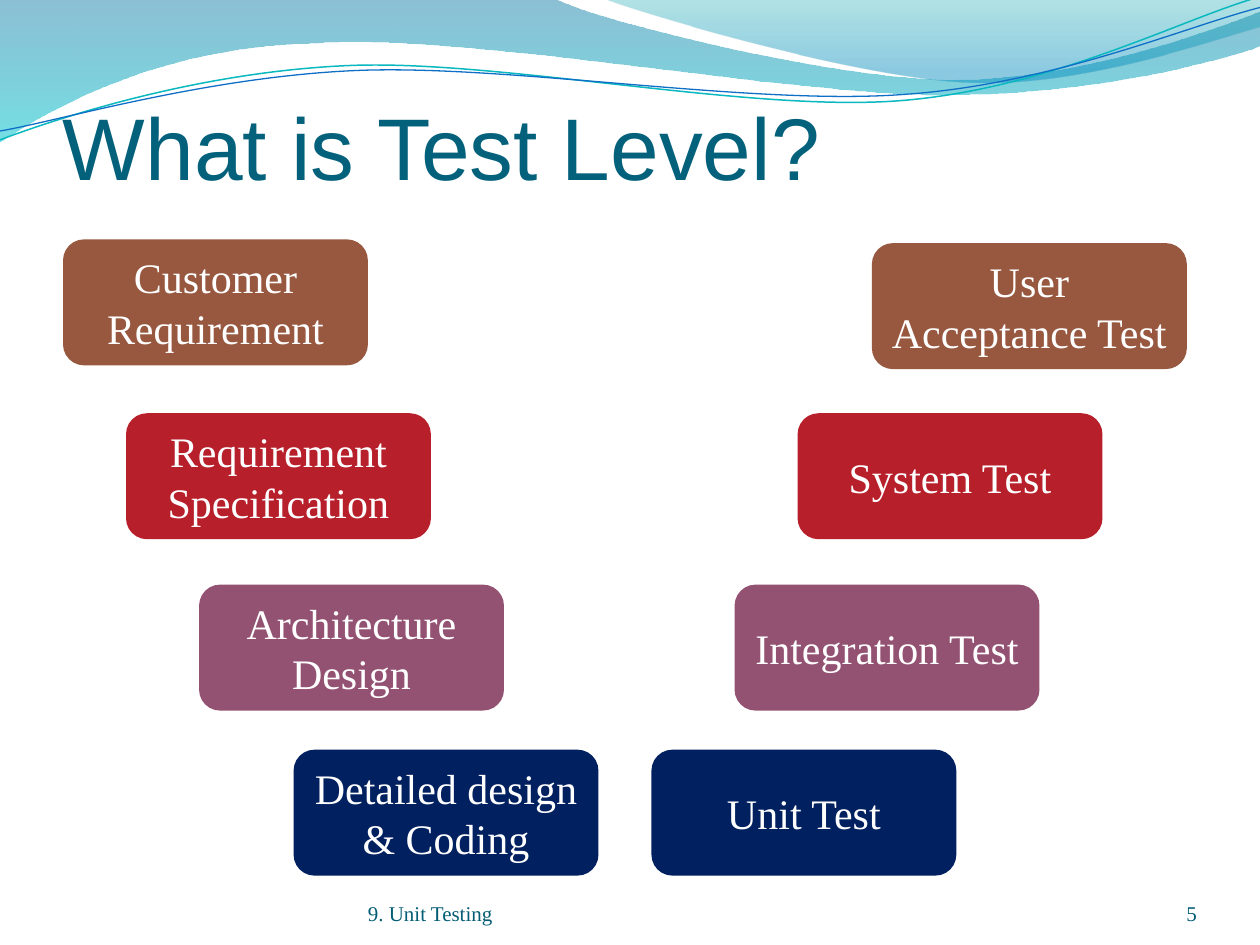
"""Build the slide that pairs each design stage with its test level."""
from math import cos, radians, sin
from lxml.etree import SubElement
from pptx import Presentation
from pptx.dml.color import RGBColor
from pptx.enum.shapes import MSO_SHAPE
from pptx.enum.text import MSO_ANCHOR, PP_ALIGN
from pptx.oxml.ns import qn
from pptx.util import Inches, Pt

HUES = {
    "title": "04617B", "footer": "045D75", "white": "FFFFFF",
    "brown": "97583F", "red": "B71F2A", "plum": "945273", "navy": "002060",
    "blue": "0074A1", "cyan": "00C6CF", "teal": "00A1A9", "sky": "008BBF",
    "aqua": "0AB8BF", "cobalt": "0F6FC6",
}


def write(shape, text, size=24, hue="white", font="Times New Roman",
          align=PP_ALIGN.CENTER, anchor=MSO_ANCHOR.MIDDLE, inset=None):
    frame = shape.text_frame
    frame.word_wrap = True
    frame.vertical_anchor = anchor
    if inset is not None:
        frame.margin_left = frame.margin_right = frame.margin_bottom = Inches(0)
        frame.margin_top = Inches(inset)
    para = frame.paragraphs[0]
    para.alignment = align
    run = para.add_run()
    run.text = text
    run.font.size = Pt(size)
    run.font.name = font
    run.font.color.rgb = RGBColor.from_string(HUES[hue])


def draw(start, parts, close, mid=(0, 0), turn=0):
    dots = [start] + [dot for part in parts for dot in zip(part[::2], part[1::2])]
    c, s = cos(radians(turn)), sin(radians(turn))
    dots = [(Inches(mid[0] + (x - mid[0]) * c - (y - mid[1]) * s),
             Inches(mid[1] + (x - mid[0]) * s + (y - mid[1]) * c)) for x, y in dots]
    pen = slide.shapes.build_freeform(*dots[0])
    pen.add_line_segments(dots[1:], close=close)
    shape = pen.convert_to_shape()
    shape.shadow.inherit = False
    shape.rotation = -turn
    lines = iter(list(shape._element.spPr.iter(qn("a:lnTo"))))
    for part in parts:
        first = next(lines)
        if len(part) == 6:
            curve = first.makeelement(qn("a:cubicBezTo"))
            first.addprevious(curve)
            for line in (first, next(lines), next(lines)):
                curve.append(line[0])
                line.getparent().remove(line)
    return shape


deck = Presentation()
deck.slide_width, deck.slide_height = Inches(10), Inches(7.5)
slide = deck.slides.add_slide(deck.slide_layouts[6])

BANDS = [
    ((0, 0), [(4.4, -0.01), (4.76, 0.17, 6.64, 0.63, 7.58, 0.63),
              (8.53, 0.63, 9.58, 0.26, 10, 0.09), (10.01, 0.36),
              (9.83, 0.44, 8.7, 0.76, 7.46, 0.75),
              (6.22, 0.75, 3.82, 0.28, 2.57, 0.34),
              (1.29, 0.36, 0.46, 0.83, -0.01, 1.13)],
     [(0, "blue", 45), (1, "cyan", 55)]),
    ((4.79, -0.01), [(5.09, 0.11, 6.82, 0.62, 7.69, 0.65),
                     (8.56, 0.69, 9.61, 0.32, 10, 0.21), (10, 0)],
     [(0, "teal", 30), (0.8, "sky", 45)]),
]
for start, parts, stops in BANDS:
    band = draw(start, parts, True)
    band.line.fill.background()
    band.fill.gradient()
    band.fill.gradient_angle = 270
    for stop, (place, hue, _) in zip(band.fill.gradient_stops, stops):
        stop.position = place
        stop.color.rgb = RGBColor.from_string(HUES[hue])
    for node, (_, _, alpha) in zip(band._element.spPr.iter(qn("a:srgbClr")), stops):
        SubElement(node, qn("a:alpha"), val=str(alpha * 1000))

WAVES = [
    ((0, 1.11), [(0.48, 0.93, 1.58, 0.57, 2.77, 0.52),
                 (3.95, 0.47, 5.93, 0.89, 7.13, 0.8),
                 (8.33, 0.71, 9.38, 0.15, 9.98, -0.02)], (4.99, 0.57), "aqua", 0.85),
    ((0, 1.04), [(0.47, 0.96, 1.64, 0.61, 2.83, 0.56),
                 (4.03, 0.51, 5.97, 0.84, 7.17, 0.75),
                 (8.36, 0.67, 9.41, 0.21, 10, 0.06)], (5, 0.59), "cobalt", 0.75),
]
pair = []
for start, parts, mid, hue, width in WAVES:
    wave = draw(start, parts, False, mid, 2.7)
    wave.fill.background()
    wave.line.color.rgb = RGBColor.from_string(HUES[hue])
    wave.line.width = Pt(width)
    pair.append(wave)
slide.shapes.add_group_shape(pair)

LABELS = [
    ("What is Test Level?", (0.5, 0.67, 9, 0.9), PP_ALIGN.LEFT,
     {"size": 50, "hue": "title", "font": "Arial", "inset": 0.05}),
    ("9. Unit Testing", (2.92, 6.95, 3.67, 0.4), PP_ALIGN.LEFT,
     {"size": 12, "hue": "footer", "inset": 0}),
    ("5", (8.67, 6.95, 0.83, 0.4), PP_ALIGN.RIGHT,
     {"size": 12, "hue": "footer", "inset": 0}),
]
for text, spot, align, style in LABELS:
    label = slide.shapes.add_textbox(*map(Inches, spot))
    write(label, text, align=align, anchor=MSO_ANCHOR.BOTTOM, **style)

LEVELS = [
    ("brown", ("Customer Requirement", 0.5, 1.9, 2.42),
     ("User Acceptance Test", 6.92, 1.93, 2.5)),
    ("red", ("Requirement Specification", 1, 3.28, 2.42),
     ("System Test", 6.33, 3.28, 2.42)),
    ("plum", ("Architecture Design", 1.58, 4.64, 2.42),
     ("Integration Test", 5.83, 4.64, 2.42)),
    ("navy", ("Detailed design & Coding", 2.33, 5.95, 2.42),
     ("Unit Test", 5.17, 5.95, 2.42)),
]
for hue, *sides in LEVELS:
    for text, left, top, width in sides:
        box = slide.shapes.add_shape(MSO_SHAPE.ROUNDED_RECTANGLE, Inches(left),
                                     Inches(top), Inches(width), Inches(1))
        box.shadow.inherit = False
        box.fill.solid()
        box.fill.fore_color.rgb = RGBColor.from_string(HUES[hue])
        box.line.fill.background()
        write(box, text)

deck.save("out.pptx")
